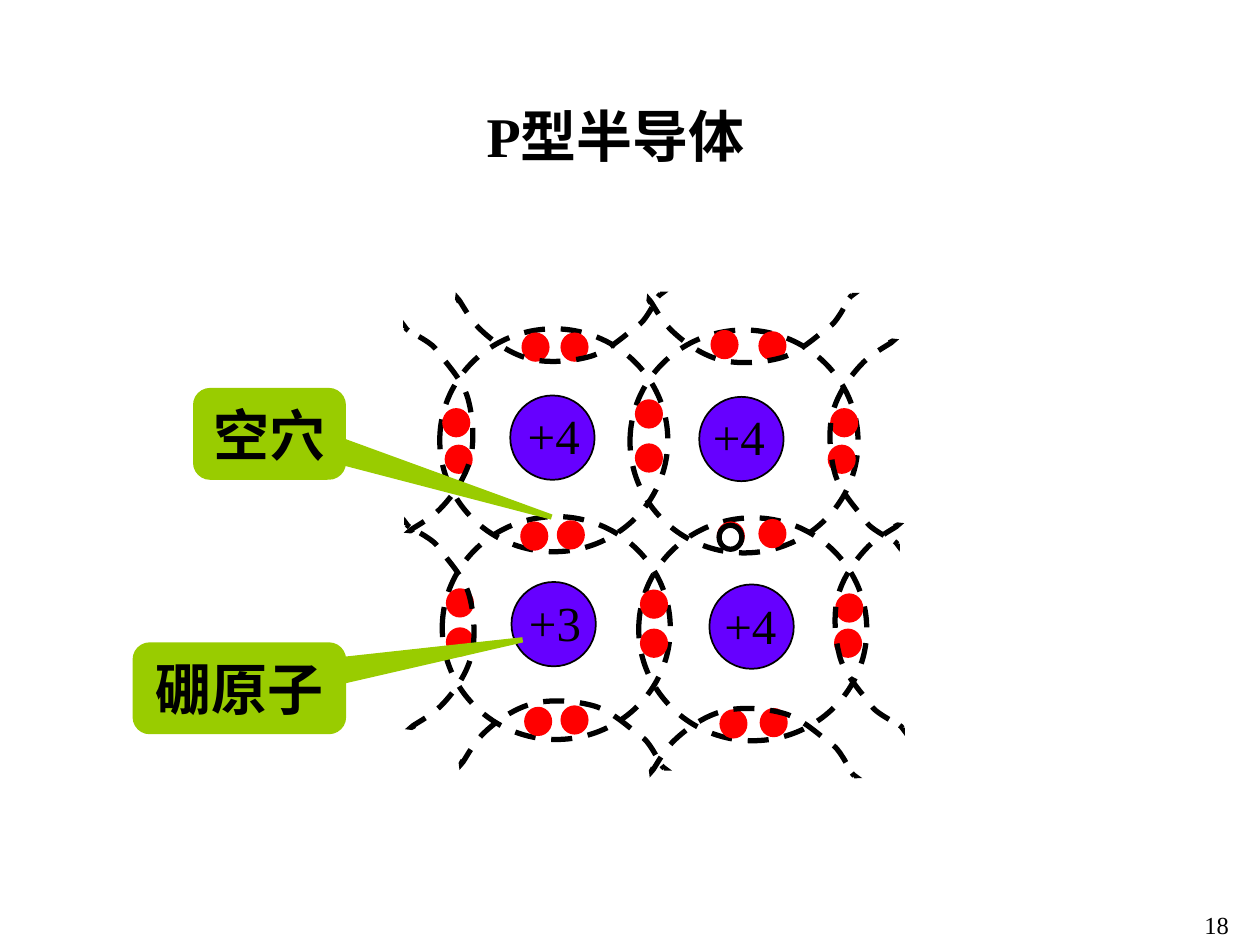
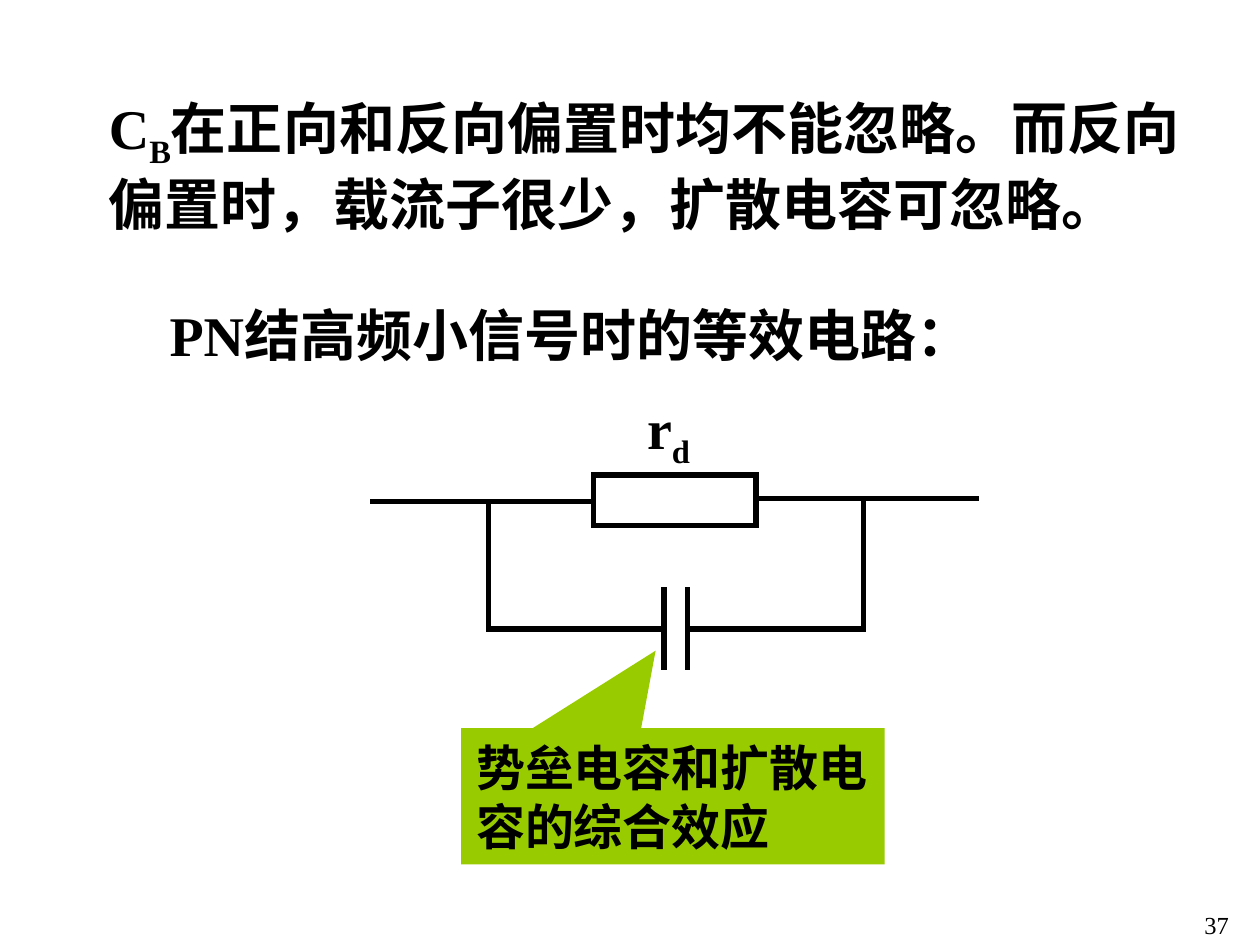
from lxml import etree
from pptx import Presentation
from pptx.dml.color import RGBColor
from pptx.enum import dml, shapes, text
from pptx.oxml import ns
from pptx.util import Pt

COLORS = {"ink": "000000", "paper": "FFFFFF", "electron": "FF0000",
          "nucleus": "6600FF", "callout": "99CC00"}
FONT = "Times New Roman"
SHAPE = shapes.MSO_SHAPE
LEFT, CENTER = text.PP_ALIGN.LEFT, text.PP_ALIGN.CENTER
TOP, MIDDLE = text.MSO_ANCHOR.TOP, text.MSO_ANCHOR.MIDDLE


def paint(shape, fill, line, width=3, dashed=False):
    """Set fill and sharp-cornered outline by colour name; a fill of None is hollow."""
    shape.shadow.inherit = False
    if fill:
        shape.fill.solid()
        shape.fill.fore_color.rgb = RGBColor.from_string(COLORS[fill])
    else:
        shape.fill.background()
    shape.line.color.rgb = RGBColor.from_string(COLORS[line])
    shape.line.width = Pt(width)
    if dashed:
        shape.line.dash_style = dml.MSO_LINE.DASH
    outline = shape._element.spPr.find(ns.qn("a:ln"))
    etree.SubElement(outline, ns.qn("a:miter"), lim="800000")


def write(shape, pieces, size, bold=True, align=LEFT, anchor=TOP, wrap=True):
    """Fill a shape with one paragraph; every second piece is a subscript."""
    frame = shape.text_frame
    frame.word_wrap = wrap
    frame.auto_size = text.MSO_AUTO_SIZE.NONE
    frame.vertical_anchor = anchor
    paragraph = frame.paragraphs[0]
    paragraph.alignment = align
    for index, piece in enumerate(pieces):
        run = paragraph.add_run()
        run.text = piece
        run.font.name, run.font.size, run.font.bold = FONT, Pt(size), bold
        run.font.color.rgb = RGBColor.from_string(COLORS["ink"])
        if index % 2:
            run._r.get_or_add_rPr().set("baseline", "-25000")


presentation = Presentation()
presentation.slide_width, presentation.slide_height = Pt(720), Pt(540)
TITLE_ONLY, BLANK = presentation.slide_layouts[5], presentation.slide_layouts[6]
lattice_slide = presentation.slides.add_slide(TITLE_ONLY)
circuit_slide = presentation.slides.add_slide(BLANK)

for slide, number in ((lattice_slide, "18"), (circuit_slide, "37")):
    slide.background.fill.solid()
    slide.background.fill.fore_color.rgb = RGBColor.from_string(COLORS["paper"])
    number_box = slide.shapes.add_textbox(Pt(670.4), Pt(517), Pt(49.6), Pt(23))
    write(number_box, [number], 14, False, CENTER, MIDDLE)

# P-type crystal lattice
title = lattice_slide.shapes.title
title.left, title.top, title.width, title.height = Pt(267), Pt(54), Pt(170), Pt(46)
write(title, ["P型半导体"], 32, True, CENTER, MIDDLE, False)

# (charge, nucleus corner, label corner, bond ring corner)
ATOMS = [("+4", (291.6, 226), (294.5, 228.2), (251.3, 187.9)),
         ("+4", (399.6, 226.8), (400.3, 229), (360, 188.6)),
         ("+3", (292.3, 332.6), (295.2, 334.8), (252.7, 295.2)),
         ("+4", (405.4, 334), (406.8, 337), (365, 295.9))]
for charge, nucleus_at, label_at, ring_at in ATOMS:
    nucleus = lattice_slide.shapes.add_shape(SHAPE.OVAL, *map(Pt, nucleus_at), Pt(48.2), Pt(48.2))
    paint(nucleus, "nucleus", "ink", 1)
    ring = lattice_slide.shapes.add_shape(SHAPE.OVAL, *map(Pt, ring_at), Pt(130.3), Pt(127.4))
    paint(ring, None, "ink", dashed=True)
    label = lattice_slide.shapes.add_textbox(*map(Pt, label_at), Pt(55.5), Pt(41))
    write(label, [charge], 28, False)

ELECTRONS = [
    (299.5, 191.5), (321.8, 191.5), (407.5, 190.1), (434.9, 190.8),
    (254.2, 234.7), (255.6, 255.6), (364.3, 229.7), (364.3, 254.9),
    (475.9, 234.7), (474.5, 255.6),
    (298.8, 299.5), (319.7, 298.8), (411.1, 299.5), (434.9, 298.1),
    (256.3, 337.7), (256.3, 360), (367.2, 338.4), (367.2, 360.7),
    (478.8, 340.6), (478.1, 360.7),
    (301, 405.4), (321.8, 404.6), (412.6, 406.8), (435.6, 406.1)]
for corner in ELECTRONS:
    electron = lattice_slide.shapes.add_shape(SHAPE.OVAL, *map(Pt, corner), Pt(13), Pt(13.7))
    paint(electron, "electron", "electron")

# Bézier knots of an open bond on the right edge, measured from its centre
BOND = [(15, -56.5), (16, -57), (18.5, -58.5), (16, -56.5), (13, -54.5), (3.5, -49.5),
        (-2, -43), (-8, -36.5), (-15, -26.5), (-17.5, -16), (-20, -6), (-19, 8),
        (-16, 18.5), (-13, 28.5), (-4, 38), (0, 43.5), (3.5, 48.5), (5.5, 49.5),
        (8.5, 51.5), (11.5, 53.5), (16.5, 56), (18, 57), (20, 58), (19.5, 58.5),
        (19.5, 58.5), (19.5, 58.5), (18.5, 57), (18, 57)]
# (rotation, flips, centres of the bonds on one edge)
EDGES = [(0, [], [(493.2, 252.4), (496.1, 357.5)]),
         (270, [], [(319, 187.6), (428.4, 188.3)]),
         (90, ["flipV"], [(321.1, 419.4), (429.8, 423.7)]),
         (0, ["flipH", "flipV"], [(251.3, 245.9), (252, 358.2)])]
for rotation, flips, centers in EDGES:
    for center_x, center_y in centers:
        points = [(Pt(center_x + x), Pt(center_y + y)) for x, y in BOND]
        builder = lattice_slide.shapes.build_freeform(*points[0])
        builder.add_line_segments(points[1:], close=False)
        bond = builder.convert_to_shape()
        contour = bond._element.spPr.find(".//" + ns.qn("a:path"))
        segments = contour.findall(ns.qn("a:lnTo"))
        for first in range(0, len(segments), 3):
            curve = etree.SubElement(contour, ns.qn("a:cubicBezTo"))
            for segment in segments[first:first + 3]:
                curve.append(segment[0])
                contour.remove(segment)
        bond.rotation = rotation
        for flip in flips:
            bond._element.spPr.find(ns.qn("a:xfrm")).set(flip, "1")
        paint(bond, None, "ink", dashed=True)

hole = lattice_slide.shapes.add_shape(SHAPE.OVAL, Pt(410.9), Pt(300.2), Pt(13), Pt(13.7))
paint(hole, "paper", "ink")

CALLOUTS = [("空穴", 111.8, 223.2, 84.4, (1.91, 0.96)),
            ("硼原子", 77.3, 368.6, 119, (1.36, -0.56))]
for name, left, top, width, tip in CALLOUTS:
    callout = lattice_slide.shapes.add_shape(SHAPE.ROUNDED_RECTANGULAR_CALLOUT,
                                             Pt(left), Pt(top), Pt(width), Pt(49.5))
    callout.adjustments[0], callout.adjustments[1] = tip
    paint(callout, "callout", "callout")
    write(callout, [name], 32, True, CENTER, MIDDLE, False)

# Equivalent circuit of the PN junction
STATEMENTS = [
    (["C", "B", "在正向和反向偏置时均不能忽略。而反向偏置时，载流子很少，扩散电容可忽略。"],
     (55.2, 49.8, 638.6, 128)),
    (["PN结高频小信号时的等效电路："], (89.8, 168, 502.5, 46)),
    (["r", "d"], (362.7, 221.3, 58.5, 51))]
for pieces, box in STATEMENTS:
    write(circuit_slide.shapes.add_textbox(*map(Pt, box)), pieces, 32)

capacitance = circuit_slide.shapes.add_shape(SHAPE.RECTANGULAR_CALLOUT,
                                             Pt(265), Pt(417.6), Pt(239), Pt(74.9))
capacitance.adjustments[0], capacitance.adjustments[1] = -0.05, -1.07
paint(capacitance, "callout", "callout")
write(capacitance, ["势垒电容和扩散电容的综合效应"], 28, anchor=MIDDLE)

resistor = circuit_slide.shapes.add_shape(SHAPE.RECTANGLE, Pt(339), Pt(271.5), Pt(93), Pt(28.6))
paint(resistor, None, "ink")

WIRES = [(432, 285, 559.5, 285), (211.5, 286.5, 339, 286.5),
         (279, 286.5, 279, 360), (493.5, 286.5, 493.5, 360),
         (379.5, 359.4, 277.5, 359.4), (393, 359.4, 495, 359.4)]
PLATES = [(x, 335.5, x, 383) for x in (379.5, 393)]
for ends in WIRES + PLATES:
    wire = circuit_slide.shapes.add_connector(shapes.MSO_CONNECTOR.STRAIGHT, *map(Pt, ends))
    wire.line.color.rgb = RGBColor.from_string(COLORS["ink"])
    wire.line.width = Pt(3)
    etree.SubElement(wire._element.spPr, ns.qn("a:effectLst"))

presentation.save("out.pptx")
